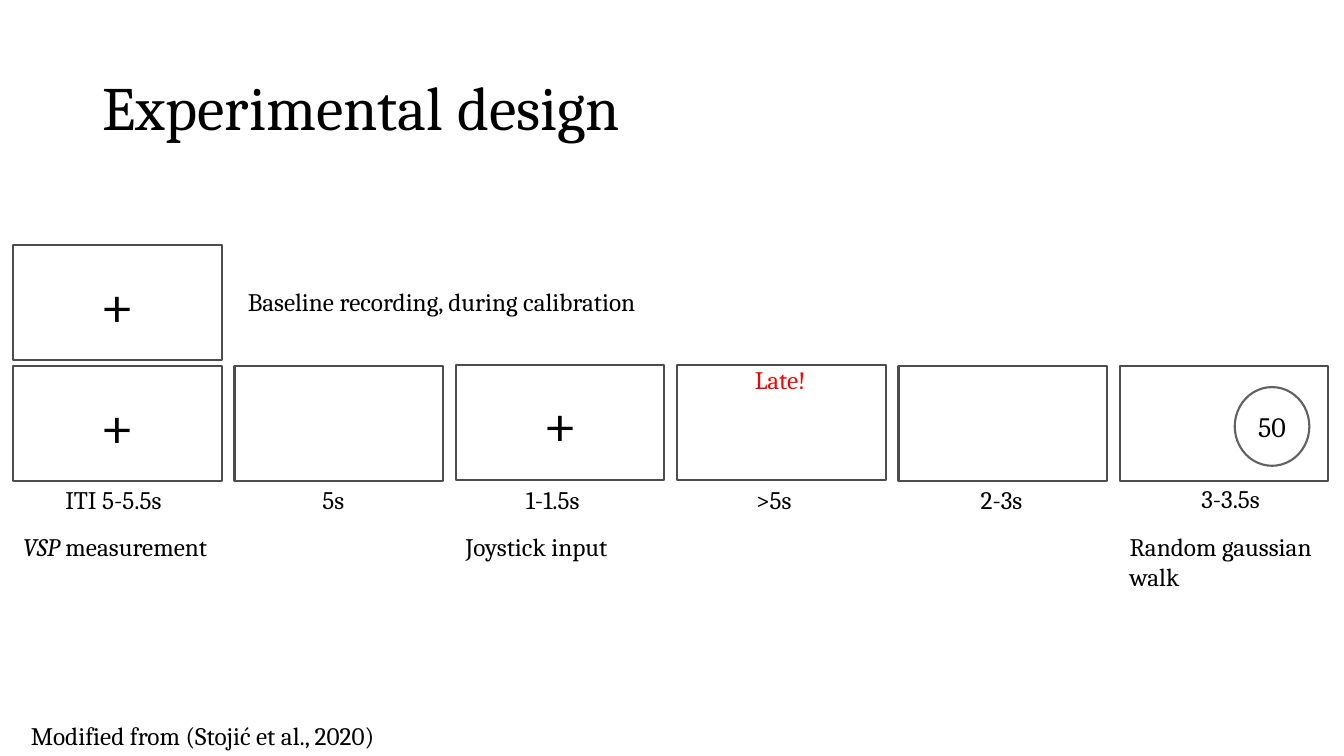
from dataclasses import dataclass

from pptx import Presentation
from pptx.dml.color import RGBColor
from pptx.enum.shapes import MSO_SHAPE
from pptx.enum.text import MSO_ANCHOR, MSO_AUTO_SIZE, PP_ALIGN
from pptx.shapes.autoshape import Shape
from pptx.slide import Slide
from pptx.text.text import TextFrame
from pptx.util import Pt

BLACK = RGBColor(0x00, 0x00, 0x00)
WHITE = RGBColor(0xFF, 0xFF, 0xFF)
RED = RGBColor(0xFF, 0x00, 0x00)
PANEL_LINE = RGBColor(0x4D, 0x4D, 0x4D)
CIRCLE_LINE = RGBColor(0x61, 0x61, 0x61)

FONT_NAME = "Cambria"
FIRST_LEFT = 9.4
PANEL_PITCH = 158.1
PANEL_WIDTH = 149
PANEL_HEIGHT = 82.1
ROW_TOP = 261.4
RAISED_TOP = 260.6
BASELINE_TOP = 175
LABEL_TOP = 342.7
NOTE_TOP = 375.8
LINE_HEIGHT = 29.1
TWO_LINE_HEIGHT = 50.9


@dataclass(frozen=True)
class TextRun:
    text: str
    italic: bool = False


@dataclass(frozen=True)
class Panel:
    column: int
    top: float
    text: str = ""


@dataclass(frozen=True)
class Label:
    left: float
    top: float
    width: float
    height: float
    runs: tuple[TextRun, ...]
    size: float = 18
    color: RGBColor = BLACK
    wrap: bool = False
    alignment: PP_ALIGN = PP_ALIGN.LEFT
    anchor: MSO_ANCHOR = MSO_ANCHOR.TOP
    line_spacing: float = 1.0
    grow: bool = True


def column_left(column: int) -> float:
    return FIRST_LEFT + column * PANEL_PITCH


def timing(left: float, width: float, text: str, top: float = LABEL_TOP) -> Label:
    return Label(left, top, width, LINE_HEIGHT, (TextRun(text),))


def note(column: int, height: float, *runs: TextRun) -> Label:
    return Label(column_left(column), NOTE_TOP, PANEL_WIDTH, height, runs, wrap=True)


PANELS = (
    Panel(0, ROW_TOP, "+"),
    Panel(1, ROW_TOP),
    Panel(2, RAISED_TOP, "+"),
    Panel(3, RAISED_TOP),
    Panel(4, ROW_TOP),
    Panel(5, ROW_TOP),
    Panel(0, BASELINE_TOP, "+"),
)

LABELS = (
    Label(66.2, 26.6, 828, 104.4, (TextRun("Experimental design"),), size=44, wrap=True,
          anchor=MSO_ANCHOR.MIDDLE, line_spacing=0.9, grow=False),
    timing(39.6, 89.3, "ITI 5-5.5s"),
    timing(223.2, 32.4, "5s"),
    timing(368.6, 62.6, "1-1.5s"),
    timing(532.8, 46.1, ">5s"),
    timing(693.4, 49, "2-3s"),
    timing(851, 62.6, "3-3.5s", top=342),
    Label(532.1, 257, 53.3, LINE_HEIGHT, (TextRun("Late!"),), color=RED),
    note(2, LINE_HEIGHT, TextRun("Joystick input")),
    note(5, TWO_LINE_HEIGHT, TextRun("Random gaussian walk")),
    note(0, TWO_LINE_HEIGHT, TextRun("VSP", italic=True), TextRun(" measurement")),
    timing(169.9, 306.7, "Baseline recording, during calibration", top=200.9),
    Label(0, 511.2, 289.4, LINE_HEIGHT, (TextRun("Modified from (Stojić et al., 2020)"),),
          wrap=True, alignment=PP_ALIGN.CENTER),
)


def write_runs(text_frame: TextFrame, runs: tuple[TextRun, ...], size: float,
               color: RGBColor, alignment: PP_ALIGN, line_spacing: float = 1.0) -> None:
    paragraph = text_frame.paragraphs[0]
    paragraph.alignment = alignment
    paragraph.line_spacing = line_spacing
    for item in runs:
        run = paragraph.add_run()
        run.text = item.text
        run.font.name = FONT_NAME
        run.font.size = Pt(size)
        run.font.italic = item.italic
        run.font.color.rgb = color


def draw_outline(slide: Slide, kind: MSO_SHAPE, left: float, top: float, width: float,
                 height: float, line_color: RGBColor, text: str, size: float) -> Shape:
    shape = slide.shapes.add_shape(kind, Pt(left), Pt(top), Pt(width), Pt(height))
    shape.shadow.inherit = False
    shape.fill.solid()
    shape.fill.fore_color.rgb = WHITE
    shape.line.color.rgb = line_color
    shape.line.width = Pt(1.5)
    shape.text_frame.vertical_anchor = MSO_ANCHOR.MIDDLE
    if text:
        write_runs(shape.text_frame, (TextRun(text),), size, BLACK, PP_ALIGN.CENTER)
    return shape


def draw_panel(slide: Slide, panel: Panel) -> None:
    draw_outline(slide, MSO_SHAPE.RECTANGLE, column_left(panel.column), panel.top,
                 PANEL_WIDTH, PANEL_HEIGHT, PANEL_LINE, panel.text, 44)


def draw_label(slide: Slide, label: Label) -> None:
    text_box = slide.shapes.add_textbox(
        Pt(label.left), Pt(label.top), Pt(label.width), Pt(label.height))
    text_frame = text_box.text_frame
    text_frame.word_wrap = label.wrap
    text_frame.auto_size = (
        MSO_AUTO_SIZE.SHAPE_TO_FIT_TEXT if label.grow else MSO_AUTO_SIZE.NONE)
    text_frame.vertical_anchor = label.anchor
    write_runs(text_frame, label.runs, label.size, label.color,
               label.alignment, label.line_spacing)


def main() -> None:
    presentation = Presentation()
    presentation.slide_width = Pt(960)
    presentation.slide_height = Pt(540)
    slide = presentation.slides.add_slide(presentation.slide_layouts[6])
    for panel in PANELS:
        draw_panel(slide, panel)
    draw_outline(slide, MSO_SHAPE.OVAL, 882, 276.5, 53.3, 56.2, CIRCLE_LINE, "50", 20)
    for label in LABELS:
        draw_label(slide, label)
    presentation.save("out.pptx")


if __name__ == "__main__":
    main()
